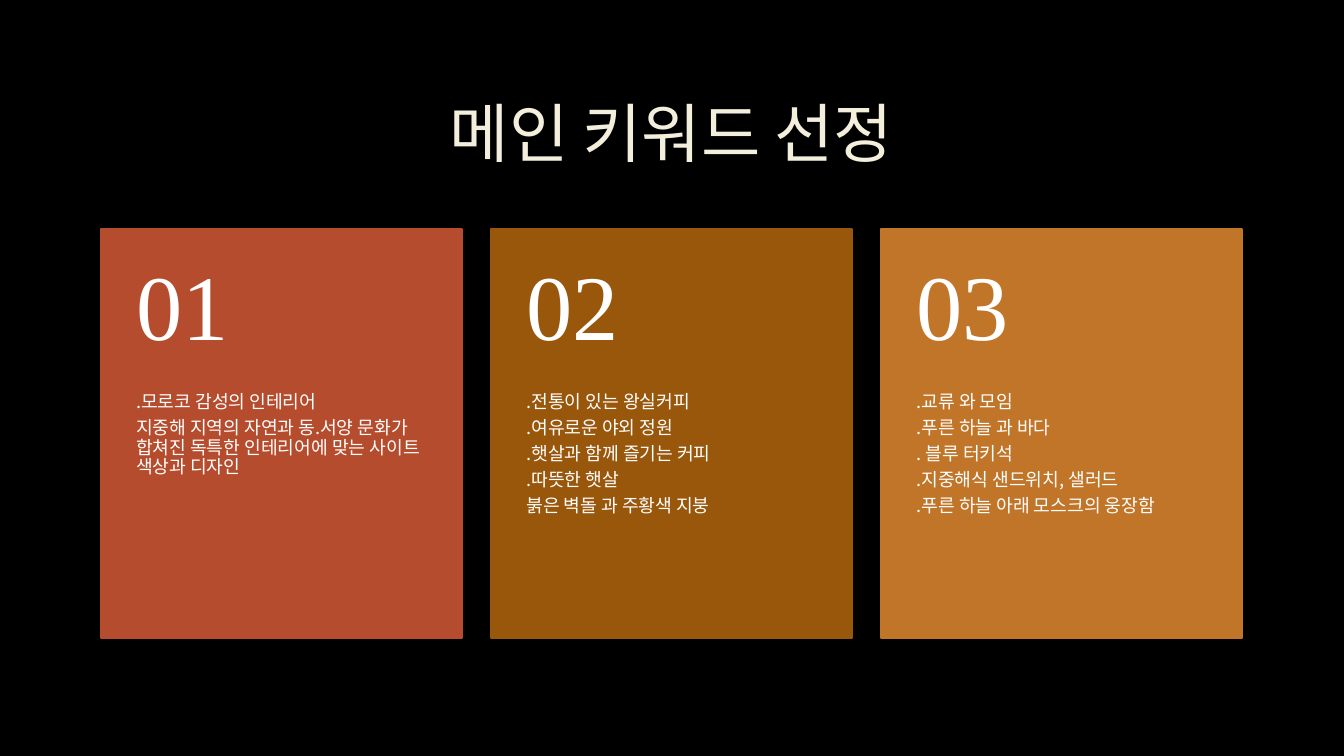
from lxml.etree import SubElement
from pptx import Presentation
from pptx.dml.color import RGBColor
from pptx.enum.shapes import MSO_SHAPE
from pptx.enum.text import MSO_ANCHOR, PP_ALIGN
from pptx.oxml.ns import qn
from pptx.util import Inches, Pt

BLACK = RGBColor(0x00, 0x00, 0x00)
CREAM = RGBColor(0xF4, 0xEE, 0xDC)
WHITE = RGBColor(0xFF, 0xFF, 0xFF)
RUST = RGBColor(0xB5, 0x4C, 0x2D)
BROWN = RGBColor(0x99, 0x57, 0x0C)
OCHRE = RGBColor(0xC1, 0x75, 0x29)
KOREAN = "Noto Sans CJK KR"
SERIF = "Times New Roman"

LEFT, TOP = 1, 2.27
CARD_W, CARD_H, GAP = 3.58, 4.06, 0.29
NUMBER_H = CARD_H * 0.4
PAD = 0.35

CARDS = [
    (RUST, [
        ".모로코 감성의 인테리어",
        "지중해 지역의 자연과 동.서양 문화가 합쳐진 독특한 인테리어에 맞는 사이트 색상과 디자인",
    ]),
    (BROWN, [
        ".전통이 있는 왕실커피",
        ".여유로운 야외 정원",
        ".햇살과 함께 즐기는 커피",
        ".따뜻한 햇살",
        "붉은 벽돌 과 주황색 지붕",
    ]),
    (OCHRE, [
        ".교류 와 모임",
        ".푸른 하늘 과 바다",
        ". 블루 터키석",
        ".지중해식 샌드위치, 샐러드",
        ".푸른 하늘 아래 모스크의 웅장함",
    ]),
]

prs = Presentation()
prs.slide_width, prs.slide_height = Inches(13.33), Inches(7.5)
s = prs.slides.add_slide(prs.slide_layouts[6])
s.background.fill.solid()
s.background.fill.fore_color.rgb = BLACK


def add_text(box, margins, lines, font, size, color, anchor, align=PP_ALIGN.LEFT):
    tf = s.shapes.add_textbox(*map(Inches, box)).text_frame
    tf.word_wrap = True
    tf.vertical_anchor = anchor
    tf.margin_left, tf.margin_top, tf.margin_right, tf.margin_bottom = map(Inches, margins)
    for i, line in enumerate(lines):
        p = tf.paragraphs[0] if i == 0 else tf.add_paragraph()
        p.alignment = align
        p.line_spacing = 0.9
        p.space_after = Pt(size * 0.35)
        r = p.add_run()
        r.text = line
        r.font.name = font
        r.font.size = Pt(size)
        r.font.color.rgb = color
        SubElement(r.font._element, qn("a:ea")).set("typeface", font)


add_text((LEFT, 0.67, 11.32, 1.38), (0.1, 0.05, 0.1, 0.05), ["메인 키워드 선정"],
         KOREAN, 46, CREAM, MSO_ANCHOR.MIDDLE, PP_ALIGN.CENTER)

for i, (color, lines) in enumerate(CARDS):
    x = LEFT + i * (CARD_W + GAP)
    sp = s.shapes.add_shape(MSO_SHAPE.RECTANGLE, *map(Inches, (x, TOP, CARD_W, CARD_H)))
    sp.shadow.inherit = False
    sp.fill.solid()
    sp.fill.fore_color.rgb = color
    sp.line.color.rgb = color
    sp.line.width = Pt(1.25)
    add_text((x, TOP + NUMBER_H, CARD_W, CARD_H - NUMBER_H), (PAD, 0, PAD, 0.36),
             lines, KOREAN, 13, WHITE, MSO_ANCHOR.TOP)
    add_text((x, TOP, CARD_W, NUMBER_H), (PAD, 0.18, PAD, 0.18),
             [f"{i + 1:02}"], SERIF, 66, WHITE, MSO_ANCHOR.MIDDLE)

prs.save("out.pptx")
